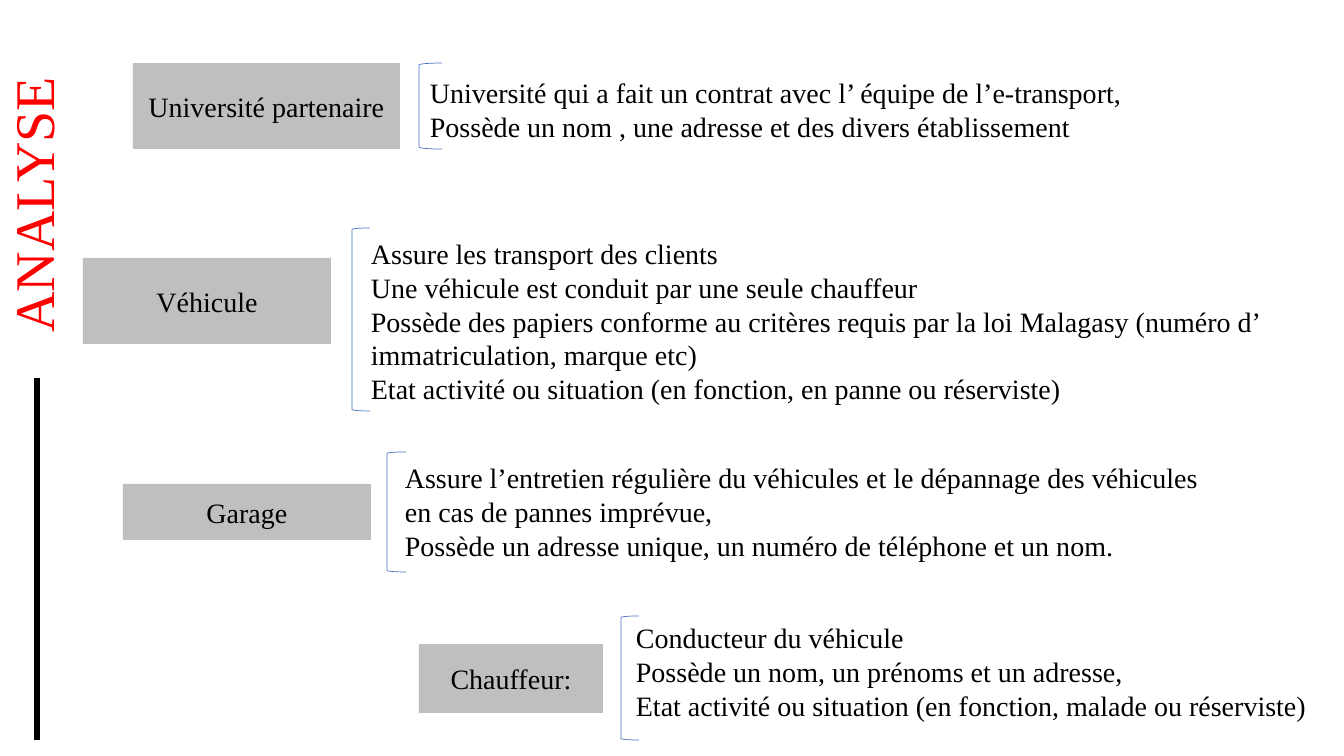
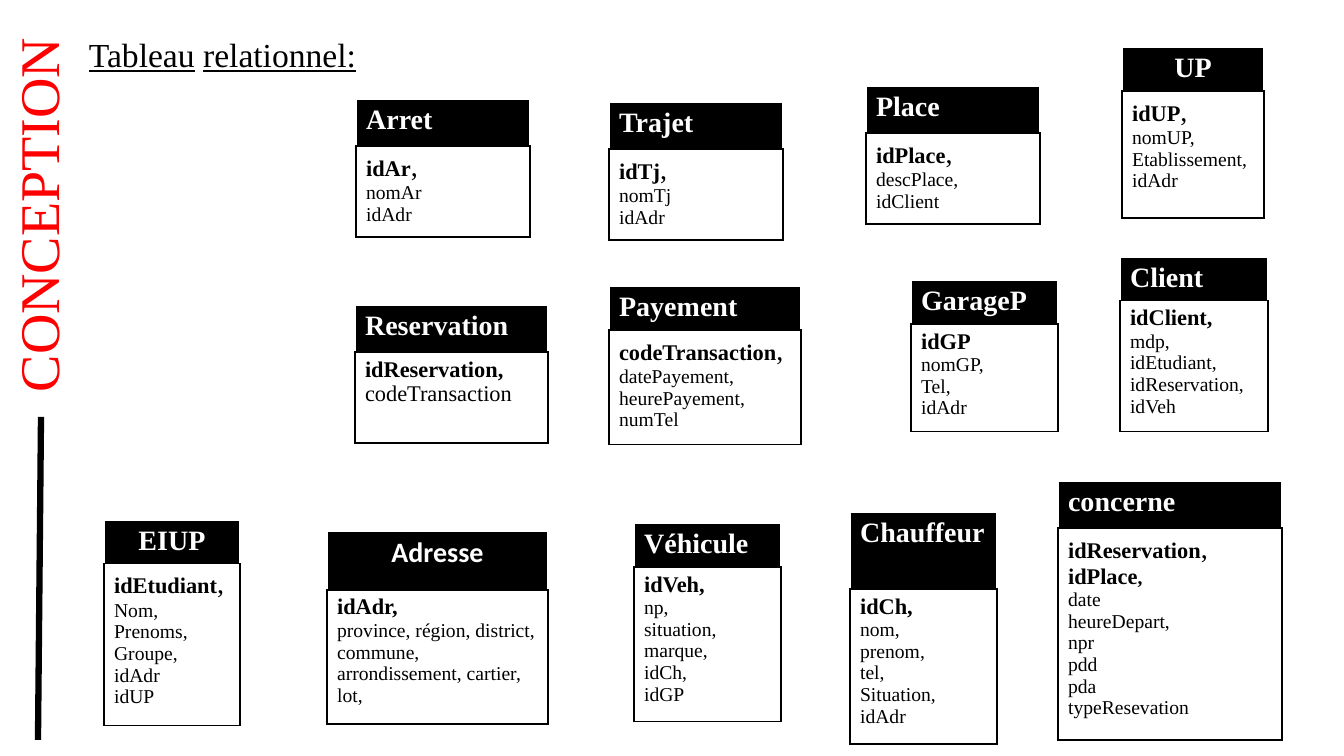
from dataclasses import dataclass

from lxml import etree
from pptx import Presentation
from pptx.dml.color import RGBColor
from pptx.enum import shapes, text
from pptx.oxml import ns
from pptx.util import Emu, Pt

SCALE = 914400 / 100.8
SERIF = "Times New Roman"
COLORS = {"title": "FF0000", "ink": "000000", "paper": "FFFFFF",
          "box": "BFBFBF", "bracket": "4472C4"}
CENTER, LEFT = text.PP_ALIGN.CENTER, text.PP_ALIGN.LEFT


@dataclass
class Entity:
    """A relation: its box, header height, key columns and other columns.

    Each key is (name, size of the comma after it); size 0 means no separate comma.
    """
    name: str
    box: tuple
    header: int
    keys: list
    columns: list
    size: int = 14
    align: object = LEFT
    font: str = SERIF


def px(*lengths):
    return [Emu(round(length * SCALE)) for length in lengths]


def color(name):
    return RGBColor.from_string(COLORS[name])


def add_run(paragraph, content, size=20, ink="ink", bold=False, underline=False, font=SERIF):
    run = paragraph.add_run()
    run.text = content
    run.font.name, run.font.size = font, Pt(size)
    run.font.bold, run.font.underline = bold, underline
    run.font.color.rgb = color(ink)


def write_lines(frame, lines, align=LEFT, **style):
    for index, line in enumerate(lines):
        paragraph = frame.add_paragraph() if index else frame.paragraphs[0]
        paragraph.alignment = align
        add_run(paragraph, line, **style)


def add_textbox(slide, box, lines, **style):
    frame = slide.shapes.add_textbox(*px(*box)).text_frame
    frame.word_wrap = True
    write_lines(frame, lines, **style)
    return frame


# Shared frame: vertical title and the rule under it
def add_titled_slide(presentation, title, box, rule):
    slide = presentation.slides.add_slide(presentation.slide_layouts[5])
    connector = slide.shapes.add_connector(shapes.MSO_CONNECTOR.STRAIGHT, *px(*rule))
    connector.line.width = Pt(4.5)
    connector.line.color.rgb = color("ink")
    etree.SubElement(connector._element.spPr, ns.qn("a:effectLst"))
    shape = slide.shapes.title
    shape.left, shape.top, shape.width, shape.height = px(*box)
    shape.rotation = 270
    frame = shape.text_frame
    frame.auto_size = text.MSO_AUTO_SIZE.NONE
    frame.vertical_anchor = text.MSO_ANCHOR.MIDDLE
    frame.word_wrap = True
    write_lines(frame, [title], align=CENTER, size=40, ink="title")
    frame.paragraphs[0].line_spacing = 0.9
    return slide


# Analysis: grey label, bracket and description
def add_definition(slide, label, label_box, bracket_box, note_box, lines):
    shape = slide.shapes.add_shape(shapes.MSO_SHAPE.RECTANGLE, *px(*label_box))
    shape.shadow.inherit = False
    shape.fill.solid()
    shape.fill.fore_color.rgb = color("box")
    shape.line.fill.background()
    shape.text_frame.vertical_anchor = text.MSO_ANCHOR.MIDDLE
    write_lines(shape.text_frame, [label], align=CENTER)

    add_textbox(slide, note_box, lines)

    bracket = slide.shapes.add_shape(shapes.MSO_SHAPE.LEFT_BRACKET, *px(*bracket_box))
    bracket.shadow.inherit = False
    bracket.fill.background()
    bracket.line.width = Pt(0.5)
    bracket.line.color.rgb = color("bracket")


def format_cell(cell, fill, sides):
    properties = cell._tc.get_or_add_tcPr()
    for side, border in zip("LRTB", sides):
        line = etree.SubElement(properties, ns.qn(f"a:ln{side}"), w=str(Pt(1)))
        solid = etree.SubElement(line, ns.qn("a:solidFill"))
        etree.SubElement(solid, ns.qn("a:srgbClr"), val=COLORS[border])
    cell.fill.solid()
    cell.fill.fore_color.rgb = color(fill)


# Conception: one two-row table per relation
def add_entity(slide, entity):
    height = entity.box[3]
    table = slide.shapes.add_table(2, 1, *px(*entity.box)).table
    table.first_row = table.horz_banding = False
    table.rows[0].height, table.rows[1].height = px(entity.header, height - entity.header)
    header, body = table.cell(0, 0), table.cell(1, 0)
    format_cell(header, "ink", ["paper"] * 3 + ["ink"])
    format_cell(body, "paper", ["ink"] * 4)
    write_lines(header.text_frame, [entity.name], align=entity.align,
                ink="paper", bold=True, font=entity.font)

    frame = body.text_frame
    for index, (key, comma) in enumerate(entity.keys):
        paragraph = frame.add_paragraph() if index else frame.paragraphs[0]
        add_run(paragraph, key, size=16, bold=True)
        if comma:
            add_run(paragraph, ",", size=comma, bold=comma < 20)
    for column in entity.columns:
        add_run(frame.add_paragraph(), column, size=entity.size)


DEFINITIONS = [
    ("Université partenaire", (133, 63, 267, 86), (419, 63, 23, 86), (420, 71, 717, 78),
     ["Université qui a fait un contrat avec l’ équipe de l’e-transport,",
      "Possède un nom , une adresse et des divers établissement"]),
    ("Véhicule", (83, 258, 248, 86), (352, 228, 18, 183), (361, 232, 955, 179),
     ["Assure les transport des clients",
      "Une véhicule est conduit par une seule chauffeur",
      "Possède des papiers conforme au critères requis par la loi Malagasy "
      "(numéro d’ immatriculation, marque etc)",
      "Etat activité ou situation (en fonction, en panne ou réserviste)"]),
    ("Garage", (123, 484, 248, 56), (387, 452, 19, 120), (395, 456, 826, 112),
     ["Assure l’entretien régulière du véhicules et le dépannage des véhicules",
      "en cas de pannes imprévue,",
      "Possède un adresse unique, un numéro de téléphone et un nom."]),
    ("Chauffeur:", (419, 644, 184, 69), (621, 616, 18, 124), (626, 616, 695, 112),
     ["Conducteur du véhicule",
      "Possède un nom, un prénoms et un adresse,",
      "Etat activité ou situation (en fonction, malade ou réserviste)"]),
]

ENTITIES = [
    Entity("Arret", (356, 99, 174, 138), 47, [("idAr", 20)], ["nomAr", "idAdr"]),
    Entity("Trajet", (609, 102, 174, 138), 47, [("idTj", 20)], ["nomTj", "idAdr"]),
    Entity("Place", (866, 86, 174, 138), 47, [("idPlace", 20)], ["descPlace,", "idClient"]),
    Entity("UP", (1122, 47, 142, 171), 44, [("idUP", 20)],
           ["nomUP,", "Etablissement,", "idAdr"], align=CENTER),
    Entity("Reservation", (355, 305, 193, 138), 47, [("idReservation,", 0)],
           ["codeTransaction"], size=16),
    Entity("Payement", (609, 286, 192, 158), 44, [("codeTransaction", 20)],
           ["datePayement,", "heurePayement,", "numTel"]),
    Entity("GarageP", (911, 280, 147, 151), 44, [("idGP", 0)], ["nomGP,", "Tel,", "idAdr"]),
    Entity("Client", (1120, 257, 148, 174), 43, [("idClient,", 0)],
           ["mdp,", "idEtudiant,", "idReservation,", "idVeh"]),
    Entity("EIUP", (104, 520, 136, 205), 43, [("idEtudiant", 20)],
           ["Nom,", "Prenoms,", "Groupe,", "idAdr", "idUP"], align=CENTER),
    Entity("Adresse", (327, 531, 221, 193), 59, [("idAdr,", 0)],
           ["province, région, district, commune, arrondissement, cartier, lot,"],
           align=CENTER, font="Calibri"),
    Entity("Véhicule", (634, 523, 147, 198), 44, [("idVeh,", 0)],
           ["np,", "situation,", "marque,", "idCh,", "idGP"]),
    Entity("Chauffeur", (850, 512, 147, 232), 77, [("idCh,", 0)],
           ["nom,", "prenom,", "tel,", "Situation,", "idAdr"]),
    Entity("concerne", (1058, 481, 224, 259), 47, [("idReservation", 20), ("idPlace", 14)],
           ["date", "heureDepart,", "npr", "pdd", "pda", "typeResevation"]),
]


def build_analysis(presentation):
    slide = add_titled_slide(presentation, "ANALYSE", (-137, 196, 347, 18), (37, 378, 37, 740))
    for definition in DEFINITIONS:
        add_definition(slide, *definition)


def build_conception(presentation):
    slide = add_titled_slide(presentation, "CONCEPTION", (-162, 204, 406, 22),
                             (41, 417, 38, 740))
    heading = add_textbox(slide, (79, 29, 319, 50), ["Tableau"], size=24, underline=True)
    add_run(heading.paragraphs[0], " ", size=24)
    add_run(heading.paragraphs[0], "relationnel:", size=24, underline=True)
    for entity in ENTITIES:
        add_entity(slide, entity)


presentation = Presentation()
presentation.slide_width, presentation.slide_height = px(1344, 756)
build_analysis(presentation)
build_conception(presentation)
presentation.save("out.pptx")
